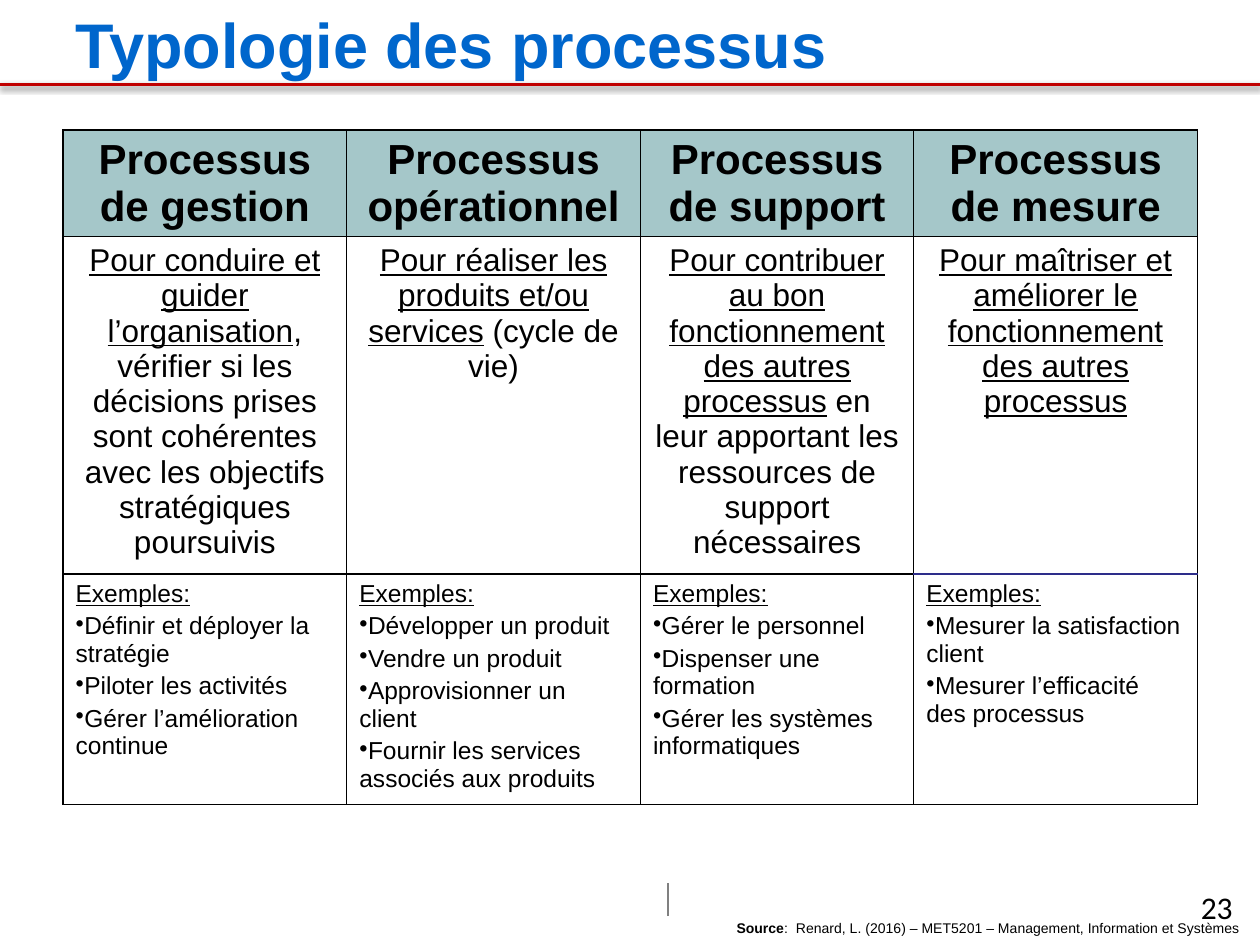
from lxml import etree
from pptx import Presentation
from pptx import util as u
from pptx.dml.color import RGBColor
from pptx.enum import shapes, text
from pptx.oxml.ns import qn

BLACK, BLUE, RED, GREY = "000000", "0066CC", "C00000", "808080"
TEAL, NAVY = "A5C7C9", "2D2D8A"
CENTER, RIGHT = text.PP_ALIGN.CENTER, text.PP_ALIGN.RIGHT

HEADERS = ["Processus de gestion", "Processus opérationnel",
           "Processus de support", "Processus de mesure"]
# Underlined purpose, then the rest of the sentence
PURPOSES = [
    ("Pour conduire et guider l’organisation",
     ", vérifier si les décisions prises sont cohérentes avec les "
     "objectifs stratégiques poursuivis"),
    ("Pour réaliser les produits et/ou services", " (cycle de vie)"),
    ("Pour contribuer au bon fonctionnement des autres processus",
     " en leur apportant les ressources de support nécessaires"),
    ("Pour maîtriser et améliorer le fonctionnement des autres processus", ""),
]
EXAMPLES = [
    ["Définir et déployer la stratégie", "Piloter les activités",
     "Gérer l’amélioration continue"],
    ["Développer un produit", "Vendre un produit", "Approvisionner un client",
     "Fournir les services associés aux produits"],
    ["Gérer le personnel", "Dispenser une formation",
     "Gérer les systèmes informatiques"],
    ["Mesurer la satisfaction client", "Mesurer l’efficacité des processus"],
]
COL_WIDTHS = [5.72, 5.92, 5.51, 5.72]
ROW_HEIGHTS = [2.15, 6.8, 4.65]


def rgb(color):
    return RGBColor.from_string(color)


def add_xml(parent, tag, **attrs):
    return etree.SubElement(parent, qn(tag), attrs)


def write(p, content, size=18, color=BLACK, font="Arial", bold=False,
          underline=False, align=None, before=0, bullet=None):
    """Append a run to paragraph p and format both."""
    if bullet:
        pPr = p._p.get_or_add_pPr()
        pPr.set("marL", "0")
        pPr.set("indent", "0")
        add_xml(pPr, "a:buChar", char=bullet)
    if align is not None:
        p.alignment = align
    if before:
        p.space_before = u.Pt(before)
    r = p.add_run()
    r.text = content
    r.font.size, r.font.name = u.Pt(size), font
    r.font.bold, r.font.underline = bold, underline
    r.font.color.rgb = rgb(color)


class Deck:
    def __init__(self, width, height):
        self.prs = Presentation()
        self.prs.slide_width, self.prs.slide_height = u.Cm(width), u.Cm(height)
        self.s = self.prs.slides.add_slide(self.prs.slide_layouts[5])

    def title(self, content, x, y, w, h):
        sp = self.s.shapes.title
        sp.left, sp.top, sp.width, sp.height = map(u.Cm, (x, y, w, h))
        tf = sp.text_frame
        tf.auto_size = text.MSO_AUTO_SIZE.NONE
        tf.vertical_anchor = text.MSO_ANCHOR.TOP
        tf.margin_top = u.Cm(0.25)
        write(tf.paragraphs[0], content, size=36, color=BLUE, bold=True,
              align=text.PP_ALIGN.LEFT)

    def line(self, x1, y1, x2, y2, color, width, shadow=False):
        sp = self.s.shapes.add_connector(
            shapes.MSO_CONNECTOR.STRAIGHT, *map(u.Cm, (x1, y1, x2, y2)))
        sp.line.color.rgb, sp.line.width = rgb(color), u.Pt(width)
        effects = add_xml(sp._element.spPr, "a:effectLst")
        if shadow:
            outer = add_xml(effects, "a:outerShdw", blurRad=str(u.Pt(3.1)),
                            dist=str(u.Pt(1.6)), dir="5400000", rotWithShape="0")
            add_xml(add_xml(outer, "a:srgbClr", val=BLACK), "a:alpha", val="38000")

    def textbox(self, x, y, w, h):
        tf = self.s.shapes.add_textbox(*map(u.Cm, (x, y, w, h))).text_frame
        tf.word_wrap = True
        return tf.paragraphs[0]

    def table(self, x, y, widths, heights):
        frame = self.s.shapes.add_table(
            len(heights), len(widths),
            *map(u.Cm, (x, y, sum(widths), sum(heights))))
        tbl = frame.table
        tbl.first_row = tbl.horz_banding = False
        for col, w in zip(tbl.columns, widths):
            col.width = u.Cm(w)
        for row, h in zip(tbl.rows, heights):
            row.height = u.Cm(h)
        return tbl

    def cell(self, cell, fill=None, **edges):
        """Black borders, unless edges (L, R, T, B) name another colour."""
        tcPr = cell._tc.get_or_add_tcPr()
        for side in "LRTB":
            ln = add_xml(tcPr, "a:ln" + side, w=str(u.Pt(1)))
            add_xml(add_xml(ln, "a:solidFill"), "a:srgbClr",
                    val=edges.get(side, BLACK))
        if fill:
            cell.fill.solid()
            cell.fill.fore_color.rgb = rgb(fill)
        else:
            cell.fill.background()
        return cell.text_frame


def main():
    d = Deck(25.4, 19.05)

    # Title, rule and footer divider
    d.line(0, 1.7, 25.4, 1.7, RED, 2, shadow=True)
    d.line(13.46, 18.47, 13.46, 17.81, GREY, 1)
    d.title("Typologie des processus", 1.27, -0.13, 22.86, 1.52)

    # Table of process types
    tbl = d.table(1.27, 2.62, COL_WIDTHS, ROW_HEIGHTS)
    last = len(HEADERS) - 1
    for i, (header, (purpose, rest), examples) in enumerate(
            zip(HEADERS, PURPOSES, EXAMPLES)):
        inner = NAVY if i == last else BLACK

        tf = d.cell(tbl.cell(0, i), fill=TEAL)
        tbl.cell(0, i).vertical_anchor = text.MSO_ANCHOR.MIDDLE
        write(tf.paragraphs[0], header, size=24, bold=True, align=CENTER)

        p = d.cell(tbl.cell(1, i), B=inner).paragraphs[0]
        write(p, purpose, underline=True, align=CENTER)
        if rest:
            write(p, rest)

        tf = d.cell(tbl.cell(2, i), T=inner)
        write(tf.paragraphs[0], "Exemples:", size=14, underline=True)
        for example in examples:
            write(tf.add_paragraph(), example, size=14, before=2.8, bullet="•")

    # Source and slide number
    p = d.textbox(1.73, 18.42, 23.52, 0.94)
    write(p, "Source", size=8, bold=True, align=RIGHT)
    write(p, ":  Renard, L. (2016) – MET5201 – Management, Information et Systèmes",
          size=8)
    write(d.textbox(19.18, 17.78, 5.92, 1.02), "23", font="Calibri", align=RIGHT)

    d.prs.save("out.pptx")


if __name__ == "__main__":
    main()
